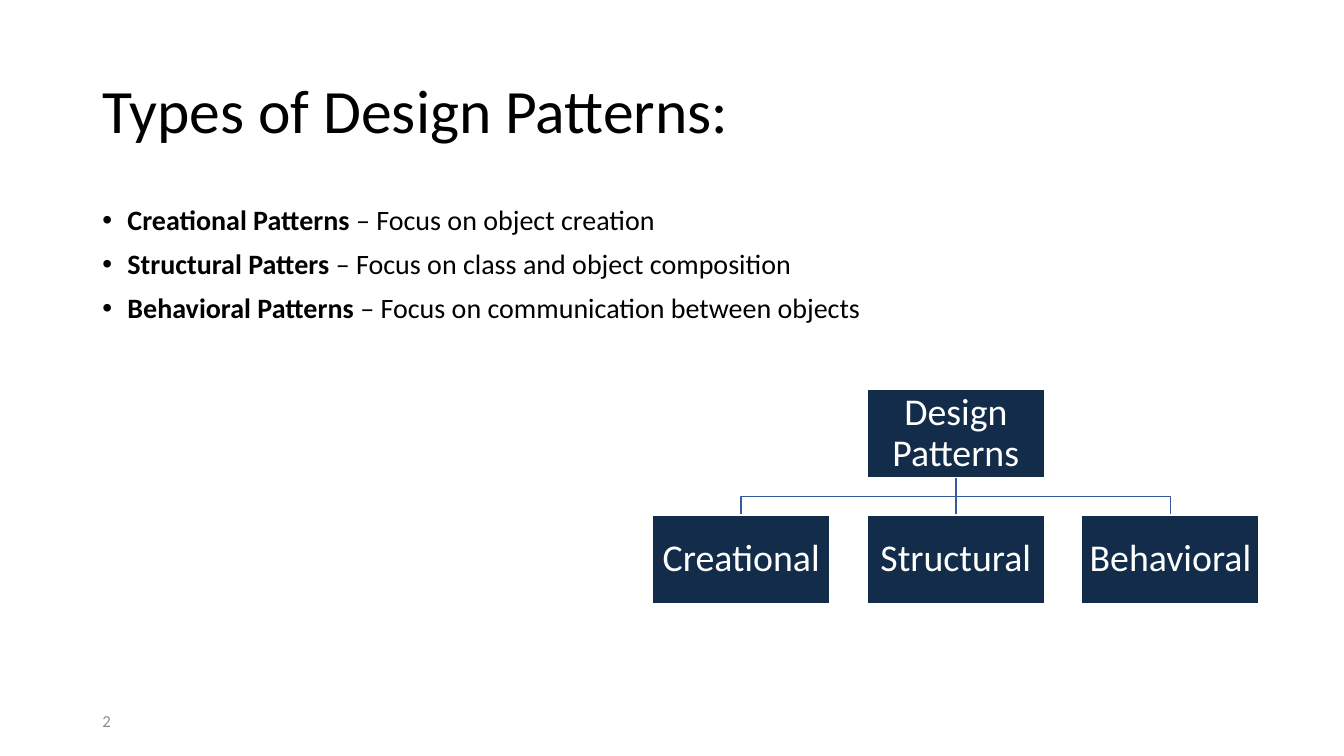
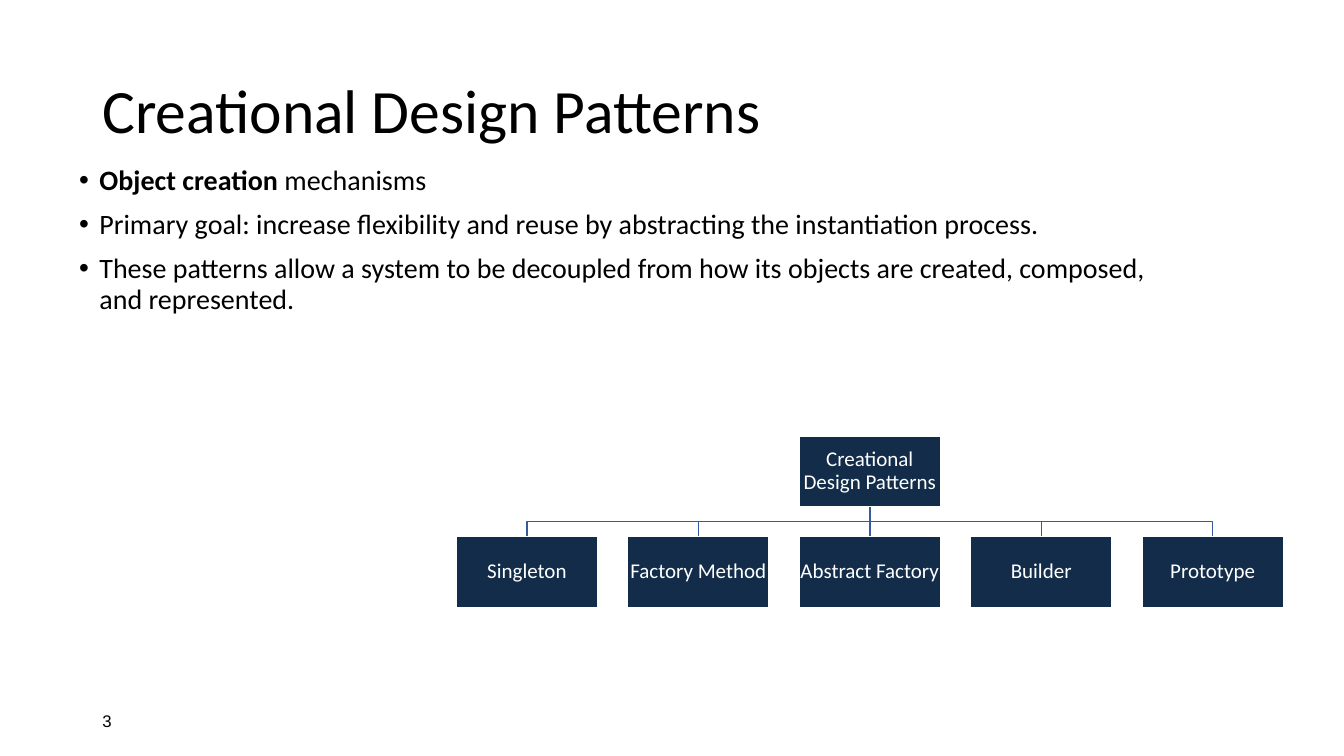
from lxml import etree
from pptx import Presentation
from pptx.dml.color import RGBColor
from pptx.enum.shapes import MSO_CONNECTOR, MSO_SHAPE
from pptx.enum.text import MSO_ANCHOR, PP_ALIGN
from pptx.oxml.ns import qn
from pptx.util import Pt

RECTANGLE = MSO_SHAPE.RECTANGLE
STRAIGHT = MSO_CONNECTOR.STRAIGHT
MIDDLE = MSO_ANCHOR.MIDDLE
CENTER = PP_ALIGN.CENTER
TOP, BOTTOM = 0, 2

COLORS = {"text": "000000", "gray": "8C8C8C", "navy": "122C49",
          "line": "365B9D", "white": "FFFFFF"}

# Tree proportions: box height, column pitch and row pitch
BOX_RATIO, COLUMN_RATIO, ROW_RATIO = 0.5, 1.21, 1.42

PAGES = [
    {
        "title": "Types of Design Patterns:",
        "body": (66, 143.75, 828, 342.7), "indent": 18,
        "bullets": [
            ("Creational Patterns", " – Focus on object creation"),
            ("Structural Patters ", "– Focus on class and object composition"),
            ("Behavioral Patterns ", "– Focus on communication between objects"),
        ],
        "number": ("2", "Calibri", "gray"),
        "root": "Design Patterns",
        "children": ["Creational", "Structural", "Behavioral"],
        "tree": (466.1, 277.9, 126.7), "size": 27,
    },
    {
        "title": "Creational Design Patterns",
        "body": (49.5, 115.2, 778.3, 353.5), "indent": 14.4,
        "bullets": [
            ("Object creation ", "mechanisms"),
            ("", "Primary goal: increase flexibility and reuse by abstracting "
                 "the instantiation process."),
            ("", "These patterns allow a system to be decoupled from how its "
                 "objects are created, composed, and represented."),
        ],
        "number": ("3", "Arial", "text"),
        "root": "Creational Design Patterns",
        "children": ["Singleton", "Factory Method", "Abstract Factory",
                     "Builder", "Prototype"],
        "tree": (325.8, 311.4, 101.2), "size": 15,
    },
]


def write(shape, text, size, color, font="Calibri", spacing=0.9):
    """Put one vertically centred paragraph into a shape."""
    frame = shape.text_frame
    frame.text = text
    frame.word_wrap = True
    frame.vertical_anchor = MIDDLE
    para = frame.paragraphs[0]
    para.line_spacing = spacing
    para.font.size = Pt(size)
    para.font.name = font
    para.font.color.rgb = RGBColor.from_string(COLORS[color])
    return frame


def set_line(shape, color):
    shape.line.color.rgb = RGBColor.from_string(COLORS[color])
    shape.line.width = Pt(1)


deck = Presentation()
deck.slide_width, deck.slide_height = Pt(960), Pt(540)

for content in PAGES:
    page = deck.slides.add_slide(deck.slide_layouts[6])

    # Title and page number
    title = page.shapes.add_textbox(Pt(66), Pt(28.8), Pt(828), Pt(104.4))
    write(title, content["title"], 44, "text")
    number = page.shapes.add_textbox(Pt(66), Pt(500.4), Pt(216), Pt(28.8))
    digits, font, color = content["number"]
    write(number, digits, 12, color, font, 1.0)

    # Bullets with a bold lead
    body = page.shapes.add_textbox(*[Pt(length) for length in content["body"]])
    body.text_frame.word_wrap = True
    for index, (lead, rest) in enumerate(content["bullets"]):
        frame = body.text_frame
        para = frame.add_paragraph() if index else frame.paragraphs[0]
        para.line_spacing = 0.9
        para.space_before = Pt(10)
        para.font.size = Pt(20)
        para.font.name = "Calibri"
        para.font.color.rgb = RGBColor.from_string(COLORS["text"])
        for words, bold in ((lead, True), (rest, False)):
            if words:
                span = para.add_run()
                span.text = words
                span.font.bold = bold
        properties = para._p.get_or_add_pPr()
        properties.set("marL", str(Pt(content["indent"])))
        properties.set("indent", str(-Pt(content["indent"])))
        bullet_font = etree.Element(qn("a:buFont"), typeface="Arial")
        bullet = etree.Element(qn("a:buChar"), char="•")
        position = properties.index(properties.find(qn("a:defRPr")))
        properties[position:position] = [bullet_font, bullet]

    # Tree grid: the root stands above the middle child
    left, top, width = content["tree"]
    height = width * BOX_RATIO
    pitch = width * COLUMN_RATIO
    child_top = top + height * ROW_RATIO
    root_bottom = top + height
    bus = (root_bottom + child_top) / 2
    middle = len(content["children"]) // 2
    root_left = left + middle * pitch
    root_center = root_left + width / 2

    # Branches: elbows to the outer children, a straight line to the middle one
    for column in range(len(content["children"])):
        if column == middle:
            trunk = page.shapes.add_connector(
                STRAIGHT, Pt(root_center), Pt(root_bottom),
                Pt(root_center), Pt(child_top))
            set_line(trunk, "line")
            etree.SubElement(trunk._element.spPr, qn("a:effectLst"))
            continue
        center = left + column * pitch + width / 2
        outline = page.shapes.build_freeform(Pt(root_center), Pt(root_bottom))
        corners = [(root_center, bus), (center, bus), (center, child_top)]
        outline.add_line_segments([(Pt(x), Pt(y)) for x, y in corners], close=False)
        elbow = outline.convert_to_shape()
        elbow.shadow.inherit = False
        elbow.fill.background()
        set_line(elbow, "line")

    # Boxes
    places = [(content["root"], root_left, top)]
    places += [(name, left + column * pitch, child_top)
               for column, name in enumerate(content["children"])]
    boxes = []
    for name, x, y in places:
        box = page.shapes.add_shape(RECTANGLE, Pt(x), Pt(y), Pt(width), Pt(height))
        box.shadow.inherit = False
        box.fill.solid()
        box.fill.fore_color.rgb = RGBColor.from_string(COLORS["navy"])
        set_line(box, "white")
        frame = write(box, name, content["size"], "white")
        frame.paragraphs[0].alignment = CENTER
        frame.margin_left = frame.margin_right = Pt(0.5)
        frame.margin_top = frame.margin_bottom = Pt(0.5)
        boxes.append(box)
    root, *children = boxes
    trunk.begin_connect(root, BOTTOM)
    trunk.end_connect(children[middle], TOP)

deck.save("out.pptx")
